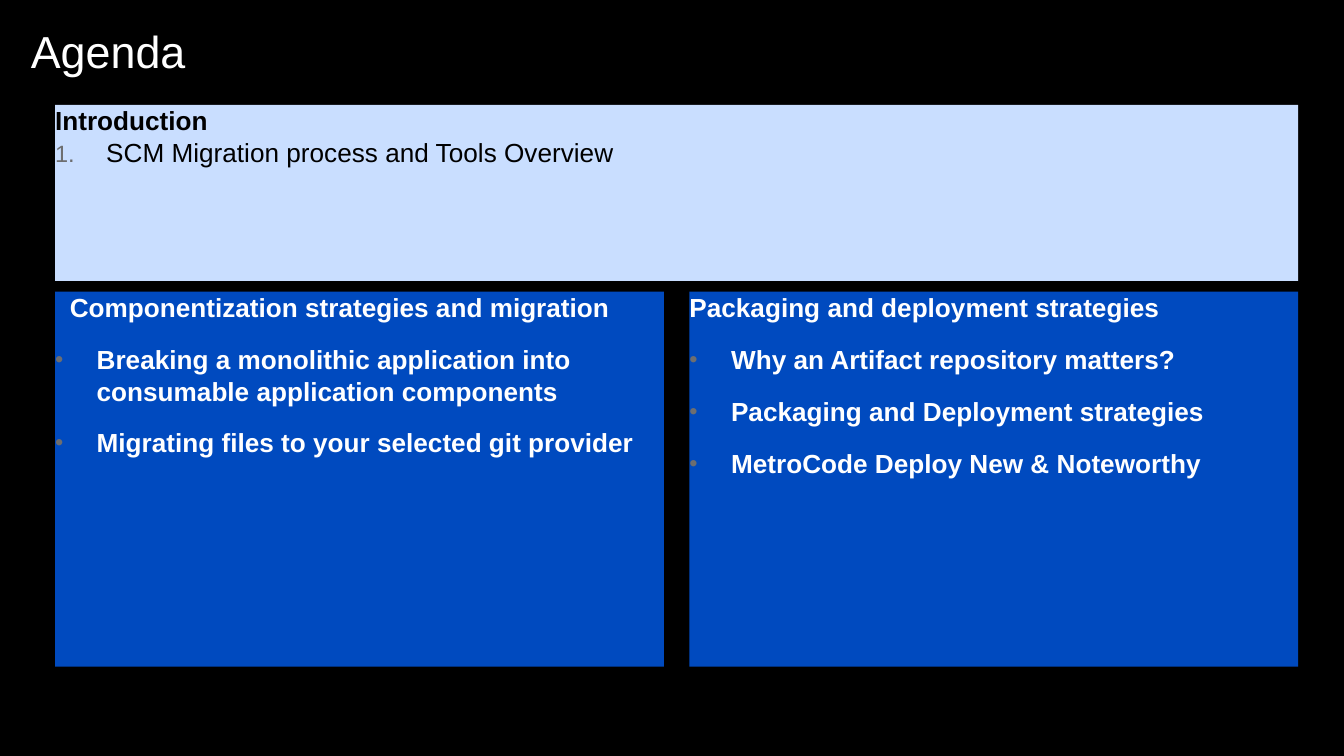
"""Build a one-slide agenda with an introduction band and two topic panels."""
from dataclasses import dataclass

import pptx
import pptx.dml.color
import pptx.enum.shapes
import pptx.enum.text
import pptx.oxml.ns
import pptx.util
from lxml import etree
from pptx.util import Inches


@dataclass(frozen=True)
class Theme:
    """Colours, font, type sizes and spacing."""
    font: str = "Arial"
    background: str = "000000"
    light: str = "FFFFFF"
    dark: str = "000000"
    band: str = "C9DEFF"
    panel: str = "004ABF"
    marker: str = "6D6E70"
    title_size: int = 24
    body_size: int = 14
    space_before: int = 11


THEME = Theme()


def rgb(value):
    """Return the colour for a hex string."""
    return pptx.dml.color.RGBColor.from_string(value)


def style(paragraph, size, colour, bold=False):
    """Set the font of a whole paragraph."""
    paragraph.alignment = pptx.enum.text.PP_ALIGN.LEFT
    font = paragraph.font
    font.name, font.size, font.bold = THEME.font, pptx.util.Pt(size), bold
    font.color.rgb = rgb(colour)


def clear_frame(frame):
    """Give a text frame no insets, wrapping and top anchoring."""
    frame.margin_left = frame.margin_right = frame.margin_top = frame.margin_bottom = 0
    frame.word_wrap = True
    frame.auto_size = pptx.enum.text.MSO_AUTO_SIZE.NONE
    frame.vertical_anchor = pptx.enum.text.MSO_ANCHOR.TOP


def add_marker(paragraph, hang, numbered):
    """Add a hanging grey bullet or number to a paragraph."""
    properties = paragraph._p.get_or_add_pPr()
    properties.set("marL", str(Inches(hang)))
    properties.set("indent", str(-Inches(hang)))
    qn = pptx.oxml.ns.qn
    colour = etree.SubElement(properties, qn("a:buClr"))
    etree.SubElement(colour, qn("a:srgbClr"), val=THEME.marker)
    etree.SubElement(properties, qn("a:buSzPct"), val="90000")
    if numbered:
        etree.SubElement(properties, qn("a:buFont"), typeface="+mj-lt")
        etree.SubElement(properties, qn("a:buAutoNum"), type="arabicPeriod")
    else:
        etree.SubElement(properties, qn("a:buFont"), typeface=THEME.font)
        etree.SubElement(properties, qn("a:buChar"), char="•")


def place_title(slide, box, text):
    """Move and format the title placeholder."""
    title = slide.shapes.title
    title.left, title.top, title.width, title.height = map(Inches, box)
    clear_frame(title.text_frame)
    title.text_frame.text = text
    paragraph = title.text_frame.paragraphs[0]
    paragraph.line_spacing = 0.9
    style(paragraph, THEME.title_size, THEME.light)


def add_section(slide, box, fill, colour, heading, topics, numbered=False, heading_indent=0):
    """Draw a filled section with a bold heading and its listed topics."""
    section = slide.shapes.add_shape(
        pptx.enum.shapes.MSO_SHAPE.RECTANGLE, *map(Inches, box))
    section.shadow.inherit = False
    section.fill.solid()
    section.fill.fore_color.rgb = rgb(fill)
    section.line.fill.background()
    frame = section.text_frame
    clear_frame(frame)
    head = frame.paragraphs[0]
    head.text = heading
    if heading_indent:
        head._p.get_or_add_pPr().set("marL", str(Inches(heading_indent)))
    style(head, THEME.body_size, colour, bold=True)
    for topic in topics:
        entry = frame.add_paragraph()
        entry.text = topic
        entry.space_before = pptx.util.Pt(0 if numbered else THEME.space_before)
        add_marker(entry, 0.38 if numbered else 0.31, numbered)
        style(entry, THEME.body_size, colour, bold=not numbered)


def build_agenda(slide):
    """Lay out the agenda slide."""
    slide.background.fill.solid()
    slide.background.fill.fore_color.rgb = rgb(THEME.background)
    place_title(slide, (0.23, 0.22, 4.53, 0.88), "Agenda")
    left, width, panel_width = 0.41, 9.25, 4.53
    add_section(slide, (left, 0.78, width, 1.31), THEME.band, THEME.dark, "Introduction",
                ["SCM Migration process and Tools Overview"], numbered=True)
    panels = [
        ("Componentization strategies and migration", 0.11,
         ["Breaking a monolithic application into consumable application components",
          "Migrating files to your selected git provider"]),
        ("Packaging and deployment strategies", 0,
         ["Why an Artifact repository matters?",
          "Packaging and Deployment strategies",
          "MetroCode Deploy New & Noteworthy"]),
    ]
    for column, (heading, indent, topics) in enumerate(panels):
        box = (left + column * (width - panel_width), 2.17, panel_width, 2.79)
        add_section(slide, box, THEME.panel, THEME.light, heading, topics,
                    heading_indent=indent)


def main():
    """Create and save the presentation."""
    deck = pptx.Presentation()
    deck.slide_width = Inches(10)
    deck.slide_height = deck.slide_width * 9 // 16
    build_agenda(deck.slides.add_slide(deck.slide_layouts.get_by_name("Title Only")))
    deck.save("out.pptx")


if __name__ == "__main__":
    main()
